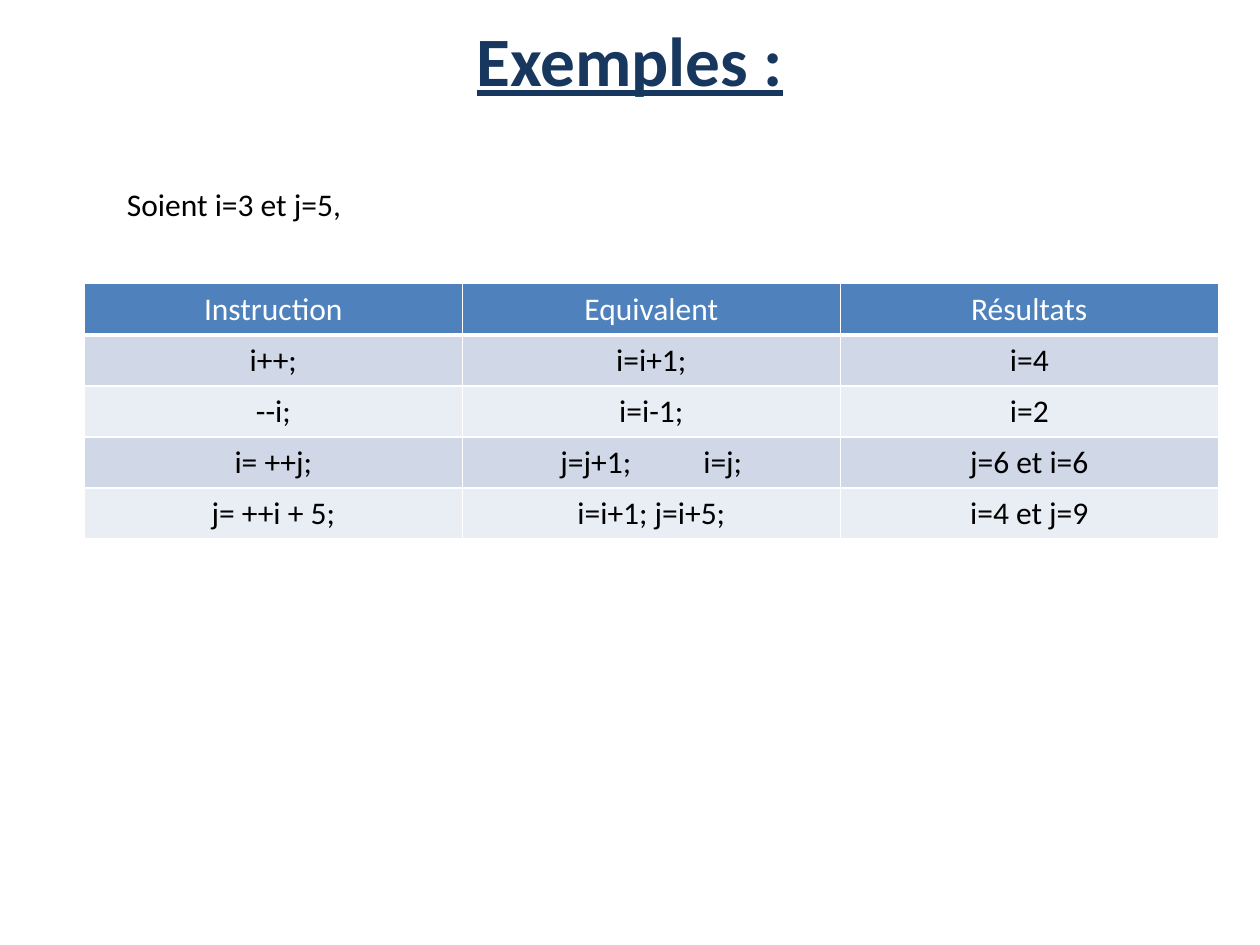
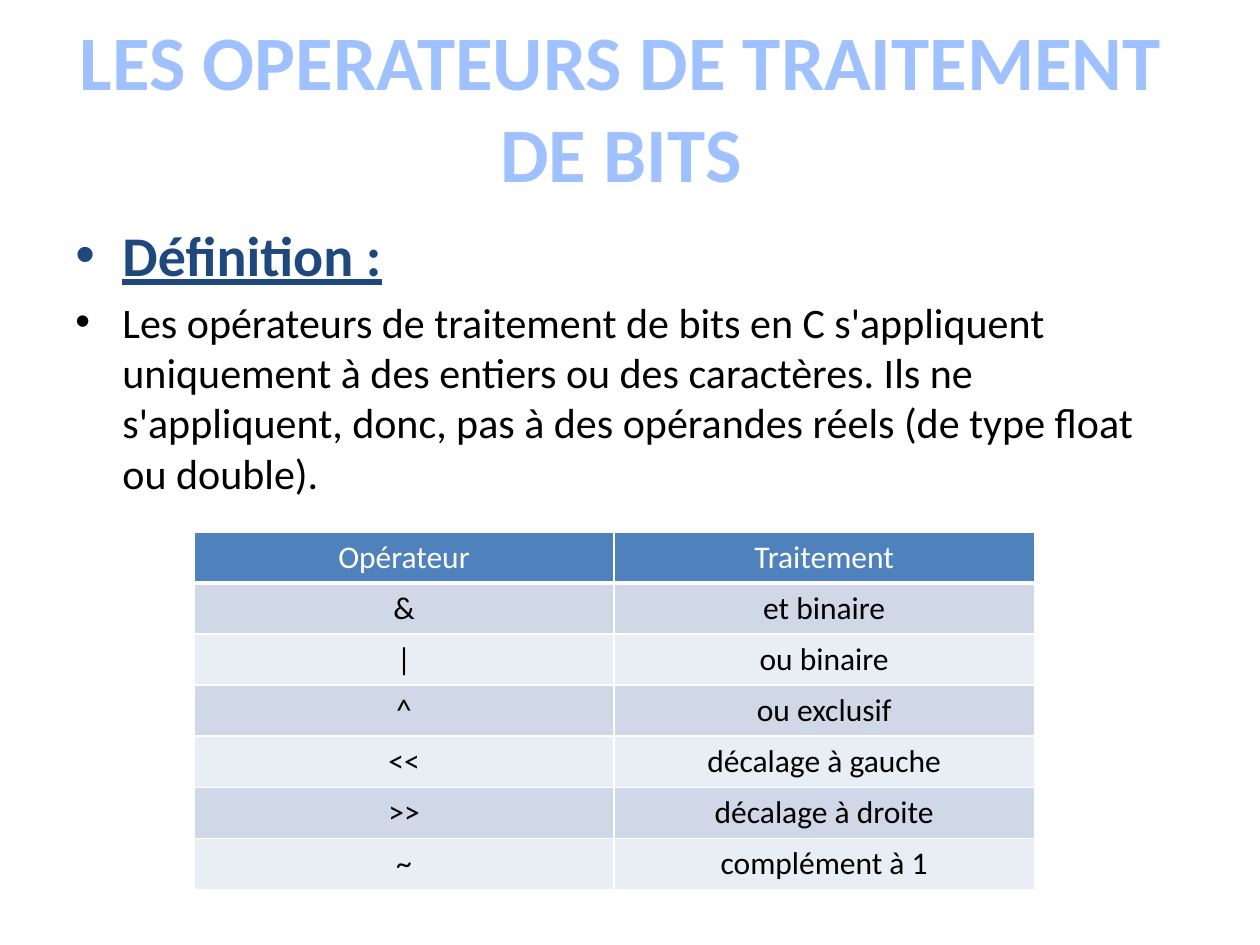
from lxml.etree import SubElement as Sub
from pptx import Presentation
from pptx.dml.color import RGBColor as Rgb
from pptx.enum.text import MSO_ANCHOR as Anchor, PP_ALIGN as Align
from pptx.oxml.ns import qn
from pptx.util import Cm, Pt

FONT = "Calibri"
NAVY = Rgb(0x17, 0x37, 0x5E)
SKY = Rgb(0xA0, 0xC1, 0xFF)
BLUE = Rgb(0x1F, 0x49, 0x7D)
HEAD = Rgb(0x4F, 0x81, 0xBD)
BANDS = Rgb(0xD0, 0xD8, 0xE8), Rgb(0xE9, 0xED, 0xF4)
BLACK = Rgb(0, 0, 0)
WHITE = Rgb(255, 255, 255)
ROW = 1.03
STOP = 2.88
INDENT = 0.95

SAMPLES = [
    ("Instruction", "Equivalent", "Résultats"),
    ("i++;", "i=i+1;", "i=4"),
    ("--i;", "i=i-1;", "i=2"),
    ("i= ++j;", "j=j+1;\ti=j;", "j=6 et i=6"),
    ("j= ++i + 5;", "i=i+1; j=i+5;", "i=4 et j=9"),
]
BITS = [
    ("Opérateur", "Traitement"),
    ("&", "et binaire"),
    ("|", "ou binaire"),
    ("^", "ou exclusif"),
    ("<<", "décalage à gauche"),
    (">>", "décalage à droite"),
    ("~", "complément à 1"),
]
POINTS = [
    ("Définition :", 32, BLUE, True),
    ("Les opérateurs de traitement de bits en C s'appliquent uniquement à des "
     "entiers ou des caractères. Ils ne s'appliquent, donc, pas à des opérandes "
     "réels (de type float ou double).", 24, BLACK, False),
]


def style(para, size, color, bold=False, under=False):
    for run in para.runs:
        font = run.font
        font.name, font.size = FONT, Pt(size)
        font.bold, font.underline = bold, under
        font.color.rgb = color


def add_page(deck, text, box, size, color, under=False):
    page = deck.slides.add_slide(deck.slide_layouts[5])
    title = page.shapes.title
    title.left, title.top, title.width, title.height = map(Cm, box)
    frame = title.text_frame
    frame.text = text
    frame.word_wrap = True
    frame.vertical_anchor = Anchor.MIDDLE
    para = frame.paragraphs[0]
    para.alignment = Align.CENTER
    style(para, size, color, True, under)
    return page


def add_box(page, box):
    frame = page.shapes.add_textbox(*map(Cm, box)).text_frame
    frame.word_wrap = True
    return frame


def add_bullet(para):
    props = para._p.get_or_add_pPr()
    props.set("marL", str(Cm(INDENT)))
    props.set("indent", str(-Cm(INDENT)))
    Sub(props, qn("a:buFont"), typeface="Arial")
    Sub(props, qn("a:buChar"), char="•")


def add_stop(para):
    stops = Sub(para._p.get_or_add_pPr(), qn("a:tabLst"))
    Sub(stops, qn("a:tab"), pos=str(Cm(STOP)), algn="l")


def set_edges(cell, row):
    widths = {"L": 1, "R": 1, "T": 3 if row == 1 else 1, "B": 3 if row == 0 else 1}
    for side, width in widths.items():
        line = Sub(cell._tc.get_or_add_tcPr(), qn("a:ln" + side), w=str(Pt(width)))
        Sub(Sub(line, qn("a:solidFill")), qn("a:srgbClr"), val=str(WHITE))


def add_grid(page, rows, left, top, width):
    count = len(rows[0])
    grid = page.shapes.add_table(len(rows), count, Cm(left), Cm(top),
                                 Cm(width * count), Cm(ROW * len(rows))).table
    for r, texts in enumerate(rows):
        for c, text in enumerate(texts):
            cell = grid.cell(r, c)
            set_edges(cell, r)
            cell.fill.solid()
            cell.fill.fore_color.rgb = BANDS[(r - 1) % 2] if r else HEAD
            para = cell.text_frame.paragraphs[0]
            para.text = text
            if "\t" in text:
                add_stop(para)
            para.alignment = Align.CENTER
            style(para, 18, BLACK if r else WHITE)


def main():
    deck = Presentation()
    deck.slide_width, deck.slide_height = Cm(25.4), Cm(19.05)

    page = add_page(deck, "Exemples :", (1.27, 0, 22.86, 2.36), 39.6, NAVY, True)
    add_grid(page, SAMPLES, 1.7, 5.72, 7.62)
    para = add_box(page, (2.31, 3.61, 5, 1.02)).paragraphs[0]
    para.text = "Soient i=3 et j=5,"
    style(para, 18, BLACK)

    page = add_page(deck, "LES OPERATEURS DE TRAITEMENT DE BITS",
                    (1.09, 0.33, 22.86, 3.61), 44, SKY)
    frame = add_box(page, (1.27, 4.32, 22.86, 14.2))
    for n, (text, size, color, strong) in enumerate(POINTS):
        para = frame.add_paragraph() if n else frame.paragraphs[0]
        para.text = text
        add_bullet(para)
        if n:
            para.space_before = Pt(size * 0.2)
        style(para, size, color, strong, strong)
    add_grid(page, BITS, 3.91, 10.72, 8.47)

    deck.save("out.pptx")


if __name__ == "__main__":
    main()
